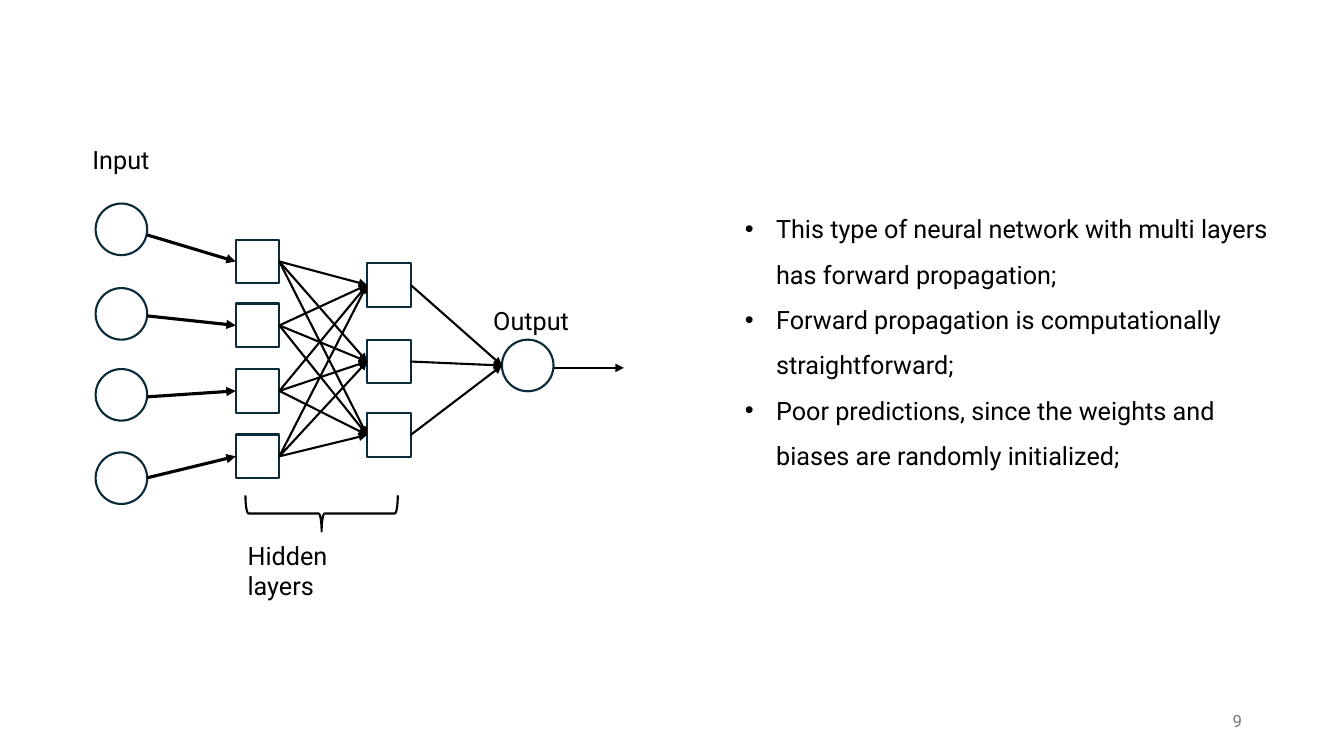
from lxml import etree
from pptx import Presentation
from pptx.dml.color import RGBColor
from pptx.enum.shapes import MSO_CONNECTOR, MSO_SHAPE
from pptx.enum.text import MSO_ANCHOR, PP_ALIGN
from pptx.oxml.ns import qn
from pptx.util import Cm, Pt

STRAIGHT = MSO_CONNECTOR.STRAIGHT
OVAL, RECTANGLE, BRACE = MSO_SHAPE.OVAL, MSO_SHAPE.RECTANGLE, MSO_SHAPE.RIGHT_BRACE
LEFT, CENTER, RIGHT = PP_ALIGN.LEFT, PP_ALIGN.CENTER, PP_ALIGN.RIGHT
TOP, MIDDLE = MSO_ANCHOR.TOP, MSO_ANCHOR.MIDDLE
LEFT_SIDE, RIGHT_SIDE = 1, 3

BLACK = RGBColor(0x00, 0x00, 0x00)
NAVY = RGBColor(0x09, 0x2A, 0x39)
GRAY = RGBColor(0x79, 0x79, 0x79)
FONT = "Roboto"

NEURON = 1.3
CELL = 1.1
INPUT_X, INPUT_TOPS = 2.41, (5.13, 7.26, 9.3, 11.4)
HIDDEN_LAYERS = ((5.94, (6.04, 7.65, 9.3, 10.95)), (9.25, (6.63, 8.56, 10.41)))
OUTPUT_X, OUTPUT_Y = 12.65, 8.56
FEED_Y, FEED_STEP = 5.92, 2.04

POINTS = (
    "This type of neural network with multi layers has forward propagation;",
    "Forward propagation is computationally straightforward;",
    "Poor predictions, since the weights and biases are randomly initialized;",
)


def add_outline(shapes, kind, x, y, w, h, color=NAVY):
    sp = shapes.add_shape(kind, Cm(x), Cm(y), Cm(w), Cm(h))
    sp.shadow.inherit = False
    sp.fill.background()
    sp.line.color.rgb = color
    sp.line.width = Pt(1.5)
    return sp


def add_arrow(shapes, start, end, width=1.5):
    """Draw an arrow; each end is an (x, y) point or a rectangle to join."""
    x1, y1 = start if isinstance(start, tuple) else (0, 0)
    x2, y2 = end if isinstance(end, tuple) else (0, 0)
    arrow = shapes.add_connector(STRAIGHT, Cm(x1), Cm(y1), Cm(x2), Cm(y2))
    if not isinstance(start, tuple):
        arrow.begin_connect(start, RIGHT_SIDE)
    if not isinstance(end, tuple):
        arrow.end_connect(end, LEFT_SIDE)
    arrow.line.color.rgb = BLACK
    arrow.line.width = Pt(width)
    etree.SubElement(arrow.line._get_or_add_ln(), qn("a:tailEnd"), type="triangle")
    etree.SubElement(arrow._element.spPr, qn("a:effectLst"))


def add_run(p, text, size=18, color=BLACK):
    r = p.add_run()
    r.text = text
    r.font.name = FONT
    r.font.size = Pt(size)
    r.font.color.rgb = color


def add_text_box(shapes, x, y, w, h, anchor=TOP):
    tf = shapes.add_textbox(Cm(x), Cm(y), Cm(w), Cm(h)).text_frame
    tf.word_wrap = True
    tf.vertical_anchor = anchor
    return tf


def add_label(shapes, text, x, y, w, align=LEFT, anchor=TOP, size=18, color=BLACK):
    p = add_text_box(shapes, x, y, w, 1.02, anchor).paragraphs[0]
    p.alignment = align
    add_run(p, text, size, color)


def add_bullets(shapes, points, x, y, w, h):
    tf = add_text_box(shapes, x, y, w, h)
    for i, point in enumerate(points):
        p = tf.add_paragraph() if i else tf.paragraphs[0]
        p.line_spacing = 1.5
        pPr = p._p.get_or_add_pPr()
        pPr.set("marL", str(Cm(0.79)))
        pPr.set("indent", str(-Cm(0.79)))
        etree.SubElement(pPr, qn("a:buFont"), typeface="Arial")
        etree.SubElement(pPr, qn("a:buChar"), char="•")
        add_run(p, point)


def add_network(shapes):
    for y in INPUT_TOPS:
        add_outline(shapes, OVAL, INPUT_X, y, NEURON, NEURON)
    first, second = [
        [add_outline(shapes, RECTANGLE, x, y, CELL, CELL) for y in tops]
        for x, tops in HIDDEN_LAYERS
    ]
    add_outline(shapes, OVAL, OUTPUT_X, OUTPUT_Y, NEURON, NEURON)

    for i, cell in enumerate(first):
        add_arrow(shapes, (INPUT_X + NEURON, FEED_Y + i * FEED_STEP), cell, 2.25)
    for source in first:
        for target in second:
            add_arrow(shapes, source, target)
    for cell in second:
        add_arrow(shapes, cell, (OUTPUT_X, OUTPUT_Y + NEURON / 2))
    add_arrow(shapes, (OUTPUT_X + NEURON, 9.27), (15.72, 9.27))

    add_label(shapes, "Input", 2.08, 3.51, 1.96)
    add_label(shapes, "Output", 12.09, 7.57, 2.59, CENTER)
    brace = add_outline(shapes, BRACE, 7.65, 11.02, 0.91, 3.84, BLACK)
    brace.rotation = 90
    add_label(shapes, "Hidden layers", 5.99, 13.49, 2.8)


def main():
    prs = Presentation()
    prs.slide_width, prs.slide_height = Cm(33.87), Cm(19.05)
    s = prs.slides.add_slide(prs.slide_layouts[6])
    add_network(s.shapes.add_group_shape().shapes)
    add_bullets(s.shapes, POINTS, 18.52, 4.88, 13.97, 7.06)
    add_label(s.shapes, "9", 23.93, 17.65, 7.62, RIGHT, MIDDLE, 12, GRAY)
    prs.save("out.pptx")


if __name__ == "__main__":
    main()
